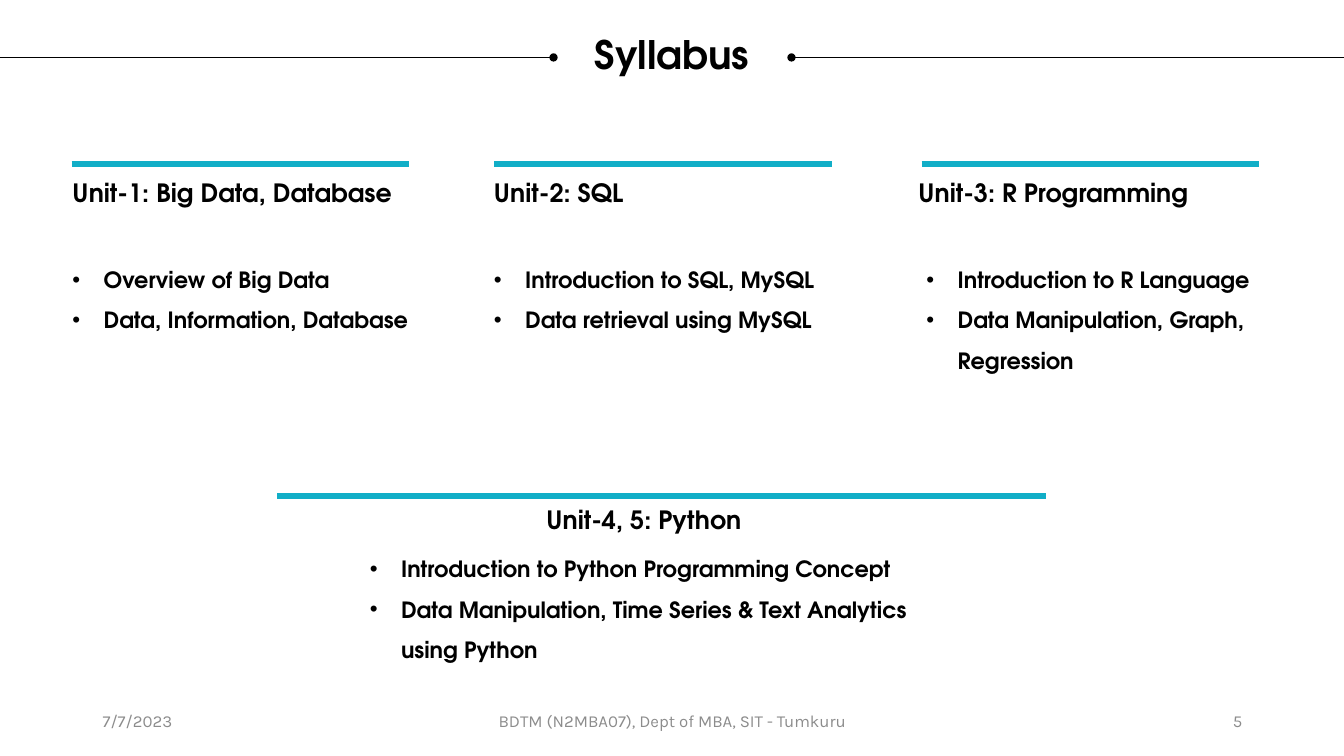
import pptx
import pptx.util
import pptx.dml.color
import pptx.enum.shapes
import pptx.enum.text
from dataclasses import dataclass
from lxml import etree
from pptx.oxml.ns import qn

Inches = pptx.util.Inches
ALIGN = pptx.enum.text.PP_ALIGN
ANCHOR = pptx.enum.text.MSO_ANCHOR

# Content: rule (left, y, width), heading (left, top), topics (left, top, width, height)
TITLE = "Syllabus"
UNITS = [
    dict(heading="Unit-1: Big Data, Database",
         topics=["Overview of Big Data", "Data, Information, Database"],
         rule=(0.71, 1.63, 3.35), heading_at=(0.62, 1.71),
         topics_at=(0.62, 2.46, 3.76, 0.86)),
    dict(heading="Unit-2: SQL",
         topics=["Introduction to SQL, MySQL", "Data retrieval using MySQL"],
         rule=(4.9, 1.63, 3.35), heading_at=(4.8, 1.71),
         topics_at=(4.8, 2.46, 3.45, 0.86)),
    dict(heading="Unit-3: R Programming",
         topics=["Introduction to R Language", "Data Manipulation, Graph, Regression"],
         rule=(9.14, 1.63, 3.35), heading_at=(9.01, 1.71),
         topics_at=(9.09, 2.46, 3.53, 1.26)),
    dict(heading="Unit-4, 5: Python",
         topics=["Introduction to Python Programming Concept",
                 "Data Manipulation, Time Series & Text Analytics using Python"],
         rule=(2.75, 4.92, 7.62), heading_at=(5.32, 4.95),
         topics_at=(3.57, 5.33, 6.06, 1.26)),
]
FOOTER = [
    ("7/7/2023", 0.92, 3, ALIGN.LEFT),
    ("BDTM (N2MBA07), Dept of MBA, SIT - Tumkuru", 4.42, 4.5, ALIGN.CENTER),
    ("5", 9.42, 3, ALIGN.RIGHT),
]


@dataclass(frozen=True)
class Theme:
    ink: str = "000000"
    accent: str = "11AEC7"
    muted: str = "8C8C8C"
    main_font: str = "TeX Gyre Adventor"
    footer_font: str = "Karla"
    title_size: int = 28
    heading_size: int = 18
    topic_size: int = 16
    footer_size: int = 12


THEME = Theme()
SLIDE_WIDTH, SLIDE_HEIGHT = 13.33, 7.5
HEADING_SIZE = (3.61, 0.4)
TITLE_RULE_Y = 0.57
TOPIC_INDENT = 0.31


def add_rule(slide, left, right, y, color, weight, dot=None):
    """Draw a horizontal line; dot is 'headEnd' (left) or 'tailEnd' (right)."""
    rule = slide.shapes.add_connector(
        pptx.enum.shapes.MSO_CONNECTOR.STRAIGHT,
        Inches(left), Inches(y), Inches(right), Inches(y))
    rule.line.color.rgb = pptx.dml.color.RGBColor.from_string(color)
    rule.line.width = pptx.util.Pt(weight)
    properties = rule.element.spPr
    if dot:
        etree.SubElement(properties.find(qn("a:ln")), qn(f"a:{dot}"), type="oval")
    etree.SubElement(properties, qn("a:effectLst"))


def add_bullet(paragraph):
    properties = paragraph._p.get_or_add_pPr()
    properties.set("marL", str(Inches(TOPIC_INDENT)))
    properties.set("indent", str(-Inches(TOPIC_INDENT)))
    etree.SubElement(properties, qn("a:buFont"), typeface="Arial")
    etree.SubElement(properties, qn("a:buChar"), char="•")


def add_text(slide, lines, box, size, color=THEME.ink, font=THEME.main_font, bold=True,
             align=ALIGN.LEFT, anchor=ANCHOR.TOP, spacing=None, bullets=False, inset=True):
    frame = slide.shapes.add_textbox(*map(Inches, box)).text_frame
    frame.word_wrap = True
    frame.vertical_anchor = anchor
    if not inset:
        frame.margin_left = frame.margin_right = 0
        frame.margin_top = frame.margin_bottom = 0
    for index, line in enumerate(lines):
        paragraph = frame.add_paragraph() if index else frame.paragraphs[0]
        if bullets:
            add_bullet(paragraph)
        paragraph.alignment = align
        if spacing:
            paragraph.line_spacing = spacing
        run = paragraph.add_run()
        run.text = line
        run.font.name = font
        run.font.size = pptx.util.Pt(size)
        run.font.bold = bold
        run.font.color.rgb = pptx.dml.color.RGBColor.from_string(color)


def main():
    deck = pptx.Presentation()
    deck.slide_width, deck.slide_height = Inches(SLIDE_WIDTH), Inches(SLIDE_HEIGHT)
    slide = deck.slides.add_slide(deck.slide_layouts[6])

    # Title between two dotted-end lines
    add_rule(slide, 0, 5.49, TITLE_RULE_Y, THEME.ink, 0.5, "tailEnd")
    add_rule(slide, 7.85, SLIDE_WIDTH, TITLE_RULE_Y, THEME.ink, 0.5, "headEnd")
    add_text(slide, [TITLE], (0.25, 0.35, 12.83, 0.85), THEME.title_size,
             align=ALIGN.CENTER, spacing=0.9, inset=False)

    # Units: rule, heading, bulleted topics
    for unit in UNITS:
        left, y, width = unit["rule"]
        add_rule(slide, left, left + width, y, THEME.accent, 4.5)
        add_text(slide, [unit["heading"]], unit["heading_at"] + HEADING_SIZE,
                 THEME.heading_size)
        add_text(slide, unit["topics"], unit["topics_at"], THEME.topic_size,
                 spacing=1.5, bullets=True)

    # Footer
    for words, left, width, align in FOOTER:
        add_text(slide, [words], (left, 6.95, width, 0.4), THEME.footer_size,
                 THEME.muted, THEME.footer_font, bold=False, align=align,
                 anchor=ANCHOR.MIDDLE)

    deck.save("out.pptx")


if __name__ == "__main__":
    main()
